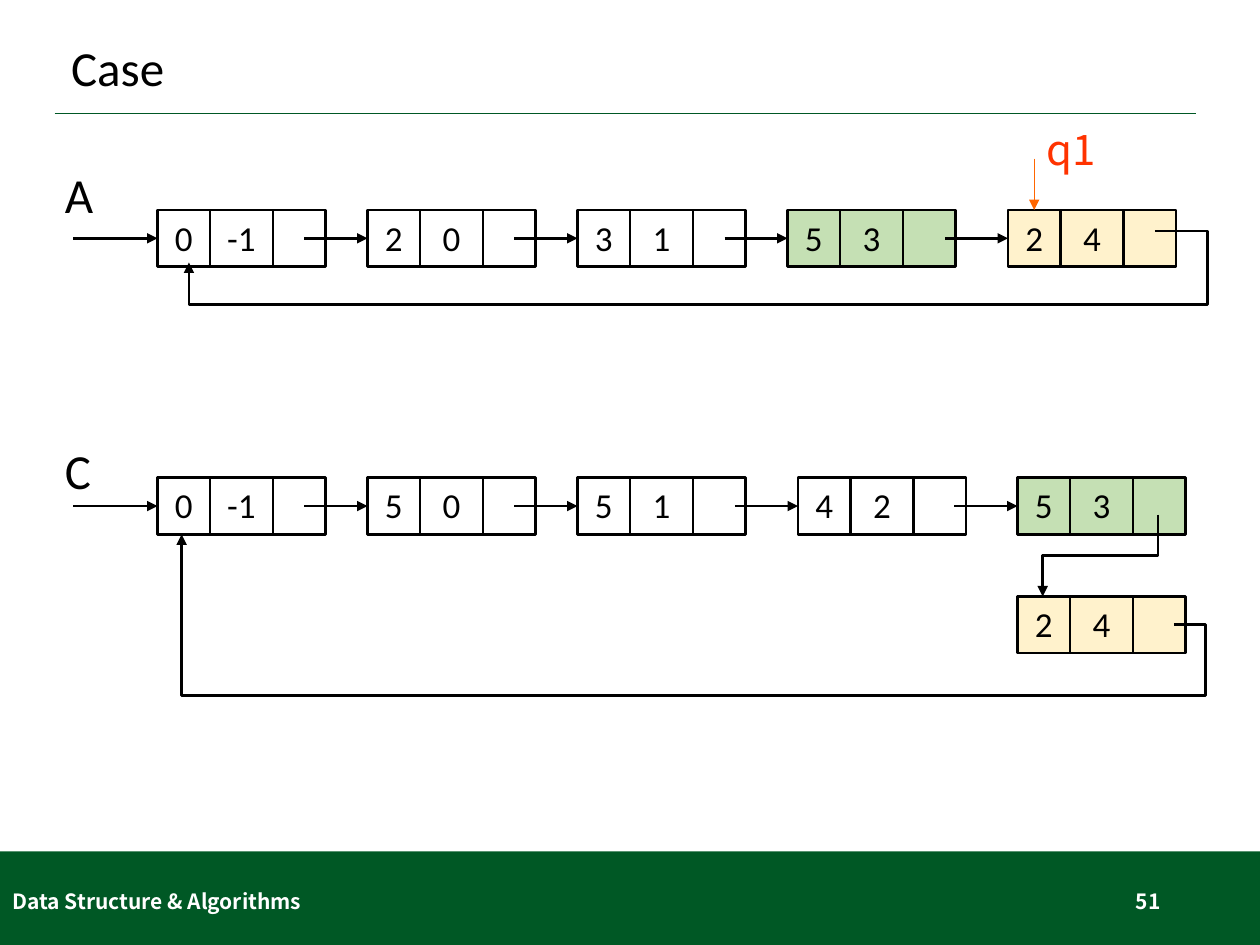
from dataclasses import dataclass
from typing import Optional

from lxml.etree import SubElement
from pptx import Presentation
from pptx.dml.color import RGBColor
from pptx.enum.shapes import MSO_CONNECTOR, MSO_SHAPE
from pptx.enum.text import MSO_ANCHOR, PP_ALIGN
from pptx.oxml.ns import qn
from pptx.util import Inches, Pt

BLACK = RGBColor(0x00, 0x00, 0x00)
WHITE = RGBColor(0xFF, 0xFF, 0xFF)
DARK_GREEN = RGBColor(0x00, 0x58, 0x25)
LIGHT_GREEN = RGBColor(0xC5, 0xE0, 0xB4)
CREAM = RGBColor(0xFF, 0xF2, 0xCC)
ORANGE = RGBColor(0xFF, 0x66, 0x00)
RED = RGBColor(0xFF, 0x33, 0x00)

BODY_FONT = "Calibri"
FOOTER_FONT = "Noto Sans CJK SC"
POINTER_FONT = "Noto Sans CJK JP"

# The slide is a grid of 120 columns by 90 rows
COLUMNS, ROWS = 120, 90
UNIT = Inches(10) / COLUMNS
CELL_WIDTHS = (5, 6, 5)  # coefficient, exponent, link
NODE_HEIGHT = 5.4
LINK_LENGTH, HEAD_LENGTH = 6, 8
ROW_A, ROW_C, ROW_C_LAST = 20, 45.5, 56.8
LAST_COLUMN_C = 96.9


@dataclass(frozen=True)
class Node:
    column: float
    row: float
    coefficient: str
    exponent: str
    fill: Optional[RGBColor] = None


@dataclass(frozen=True)
class Label:
    text: str
    column: float
    row: float
    width: float
    height: float
    size: int
    font: str = BODY_FONT
    color: RGBColor = BLACK
    bold: bool = False
    align: PP_ALIGN = PP_ALIGN.LEFT
    anchor: MSO_ANCHOR = MSO_ANCHOR.TOP
    spacing: float = 1.0


LIST_A = [
    Node(15, ROW_A, "0", "-1"),
    Node(35, ROW_A, "2", "0"),
    Node(55, ROW_A, "3", "1"),
    Node(75, ROW_A, "5", "3", LIGHT_GREEN),
    Node(96, ROW_A, "2", "4", CREAM),
]
LIST_C = [
    Node(15, ROW_C, "0", "-1"),
    Node(35, ROW_C, "5", "0"),
    Node(55, ROW_C, "5", "1"),
    Node(76, ROW_C, "4", "2"),
    Node(LAST_COLUMN_C, ROW_C, "5", "3", LIGHT_GREEN),
]
LAST_OF_C = Node(LAST_COLUMN_C, ROW_C_LAST, "2", "4", CREAM)

LABELS = [
    Label("Case", 5.6, 2.8, 108.7, 7.9, 28, anchor=MSO_ANCHOR.MIDDLE, spacing=0.9),
    Label("Data Structure & Algorithms", 0, 83.4, 40.6, 4.8, 12, FOOTER_FONT, WHITE,
          True, anchor=MSO_ANCHOR.MIDDLE),
    Label("51", 84.7, 83.4, 27, 4.8, 12, FOOTER_FONT, WHITE, True,
          PP_ALIGN.RIGHT, MSO_ANCHOR.MIDDLE),
    Label("A", 5, 15.1, 10, 6.8, 28),
    Label("C", 5, 41.4, 10, 6.8, 28),
    Label("q1", 98.5, 11.2, 10, 6, 24, POINTER_FONT, RED),
]


def grid(count: float) -> int:
    return round(count * UNIT)


def write(shape, label: Label) -> None:
    frame = shape.text_frame
    frame.word_wrap = True
    frame.vertical_anchor = label.anchor
    paragraph = frame.paragraphs[0]
    paragraph.text = label.text
    paragraph.alignment = label.align
    paragraph.line_spacing = label.spacing
    paragraph.font.size = Pt(label.size)
    paragraph.font.name = label.font
    paragraph.font.bold = label.bold
    paragraph.font.color.rgb = label.color


def add_label(shapes, label: Label) -> None:
    box = shapes.add_textbox(*map(grid, (label.column, label.row, label.width, label.height)))
    write(box, label)


def add_node(shapes, node: Node) -> None:
    column = node.column
    for text, width in zip((node.coefficient, node.exponent, ""), CELL_WIDTHS):
        place = (column, node.row, width, NODE_HEIGHT)
        cell = shapes.add_shape(MSO_SHAPE.RECTANGLE, *map(grid, place))
        cell.shadow.inherit = False
        if node.fill is None:
            cell.fill.background()
        else:
            cell.fill.solid()
            cell.fill.fore_color.rgb = node.fill
        cell.line.color.rgb = BLACK
        cell.line.width = Pt(1.5)
        if text:
            write(cell, Label(text, *place, 20, align=PP_ALIGN.CENTER))
        column += width


def style_line(line_shape, color: RGBColor, weight: float, arrow: bool) -> None:
    line_shape.line.color.rgb = color
    line_shape.line.width = Pt(weight)
    properties = line_shape.element.spPr
    if arrow:
        SubElement(properties.get_or_add_ln(), qn("a:tailEnd"), type="triangle")
    if properties.find(qn("a:effectLst")) is None:
        SubElement(properties, qn("a:effectLst"))


def add_line(shapes, start, end, color=BLACK, weight=1.5, arrow=True,
             kind=MSO_CONNECTOR.STRAIGHT):
    connector = shapes.add_connector(kind, *map(grid, (*start, *end)))
    style_line(connector, color, weight, arrow)
    return connector


def set_bend(connector, preset: str, *adjustments: int) -> None:
    geometry = connector.element.spPr.find(qn("a:prstGeom"))
    geometry.set("prst", preset)
    guides = geometry.find(qn("a:avLst"))
    for number, value in enumerate(adjustments, 1):
        SubElement(guides, qn("a:gd"), name=f"adj{number}", fmla=f"val {value}")


def add_list(shapes, nodes: list[Node]) -> None:
    for index, node in enumerate(nodes):
        add_node(shapes, node)
        length = LINK_LENGTH if index else HEAD_LENGTH
        middle = node.row + NODE_HEIGHT / 2
        add_line(shapes, (node.column - length, middle), (node.column, middle))


def main() -> None:
    deck = Presentation()
    deck.slide_width, deck.slide_height = grid(COLUMNS), grid(ROWS)
    shapes = deck.slides.add_slide(deck.slide_layouts[6]).shapes

    # Footer band and rule under the title
    footer = shapes.add_shape(MSO_SHAPE.RECTANGLE, *map(grid, (0, 81.1, COLUMNS, 8.9)))
    footer.shadow.inherit = False
    footer.fill.solid()
    footer.fill.fore_color.rgb = DARK_GREEN
    footer.line.fill.background()
    add_line(shapes, (5.2, 10.8), (113.9, 10.8), DARK_GREEN, 1, arrow=False)

    # Linked lists
    add_list(shapes, LIST_A)
    add_list(shapes, LIST_C)
    add_node(shapes, LAST_OF_C)

    # List A: link from the last node back to the head
    builder = shapes.build_freeform(110, 22, scale=UNIT)
    builder.add_line_segments([(115, 22), (115, 29), (18, 29), (18, 25)], close=False)
    return_a = builder.convert_to_shape()
    return_a.fill.background()
    style_line(return_a, BLACK, 1.5, arrow=True)

    # List C: link back to the head, then link down to the last node
    return_c = add_line(shapes, (111.8, 59.5), (17.3, ROW_C + NODE_HEIGHT),
                        kind=MSO_CONNECTOR.ELBOW)
    set_bend(return_c, "bentConnector4", -3200, -78200)
    down_c = add_line(shapes, (100.9, 47.4), (108.7, 58.4), kind=MSO_CONNECTOR.ELBOW)
    set_bend(down_c, "bentConnector3", 50000)
    down_c.element.spPr.find(qn("a:xfrm")).set("rot", "5400000")

    # Pointer q1 and all captions
    add_line(shapes, (98.5, 15.1), (98.5, ROW_A), ORANGE, 0.75)
    for label in LABELS:
        add_label(shapes, label)

    deck.save("out.pptx")


if __name__ == "__main__":
    main()
